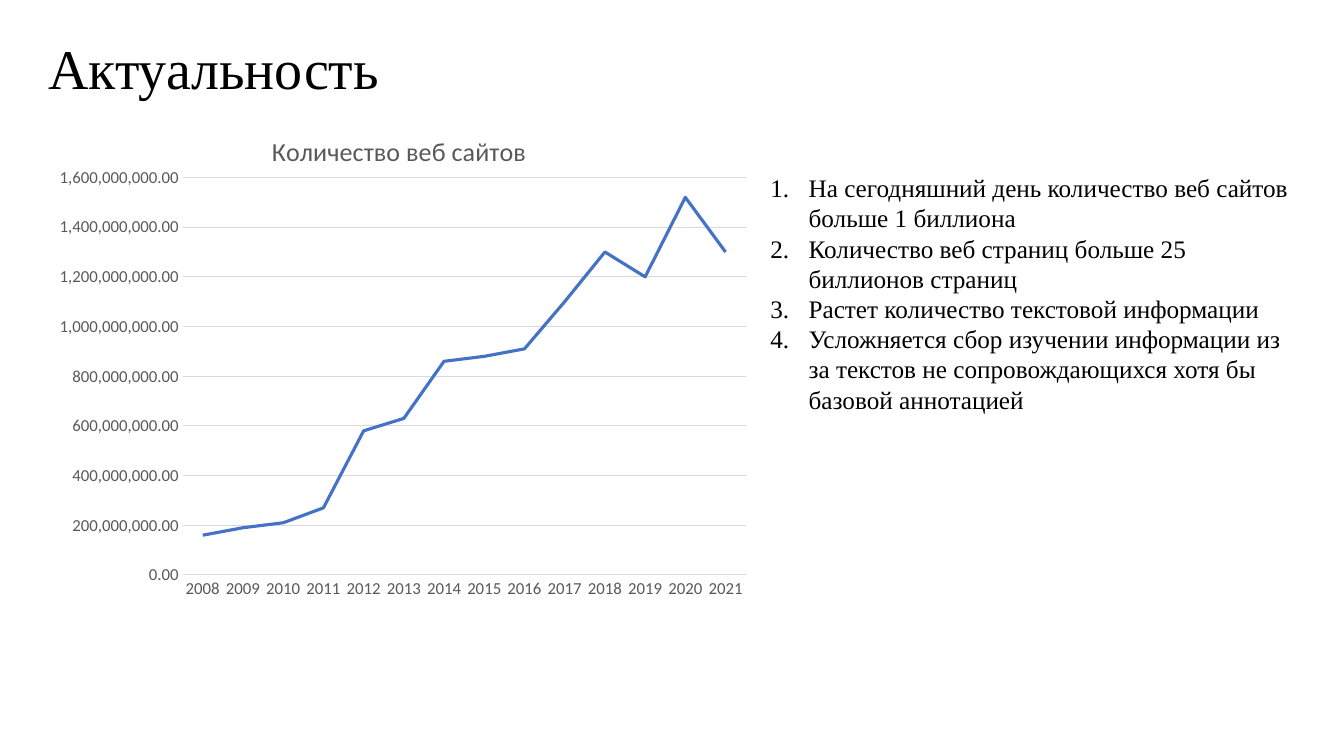
from lxml import etree
from pptx import Presentation
from pptx.chart.data import CategoryChartData
from pptx.dml.color import RGBColor
from pptx.enum.chart import XL_CHART_TYPE, XL_MARKER_STYLE, XL_TICK_MARK
from pptx.enum.text import MSO_ANCHOR, MSO_AUTO_SIZE, PP_ALIGN
from pptx.oxml import parse_xml
from pptx.oxml.ns import nsdecls, qn
from pptx.util import Inches, Pt

LINE_CHART = XL_CHART_TYPE.LINE
NO_MARKER = XL_MARKER_STYLE.NONE
NO_TICK = XL_TICK_MARK.NONE
TOP, MIDDLE = MSO_ANCHOR.TOP, MSO_ANCHOR.MIDDLE
NO_AUTOFIT = MSO_AUTO_SIZE.NONE
LEFT = PP_ALIGN.LEFT

BLACK = RGBColor(0x00, 0x00, 0x00)
GREY = RGBColor(0x59, 0x59, 0x59)
LIGHT_GREY = RGBColor(0xD9, 0xD9, 0xD9)
BLUE = RGBColor(0x44, 0x72, 0xC4)
SERIF, SANS = "Times New Roman", "Calibri"

HEADING = "Актуальность"
CHART_TITLE = "Количество веб сайтов"
FIRST_YEAR = 2008
SITES_IN_MILLIONS = [160, 190, 210, 270, 580, 630, 860, 880, 910,
                     1100, 1300, 1200, 1520, 1300]
REASONS = [
    "На сегодняшний день количество веб сайтов больше 1 биллиона",
    "Количество веб страниц больше 25 биллионов страниц",
    "Растет количество текстовой информации",
    "Усложняется сбор изучении информации из за текстов не "
    "сопровождающихся хотя бы базовой аннотацией",
]


def place(shape, box):
    shape.left, shape.top, shape.width, shape.height = map(Inches, box)


def style_font(font, size, color, name):
    font.size, font.name, font.bold = Pt(size), name, False
    font.color.rgb = color


def style_line(line, color, width):
    line.color.rgb = color
    line.width = Pt(width)


def write(paragraph, text, size, color=BLACK, font=SERIF, spacing=1.0):
    paragraph.alignment = LEFT
    paragraph.line_spacing = spacing
    paragraph.space_before = paragraph.space_after = Pt(0)
    run = paragraph.add_run()
    run.text = text
    style_font(run.font, size, color, font)


def number(paragraph, indent):
    """Turn a paragraph into a numbered item with a hanging indent."""
    properties = paragraph._p.get_or_add_pPr()
    properties.set("marL", str(Inches(indent)))
    properties.set("indent", str(-Inches(indent)))
    bullet = etree.SubElement(properties, qn("a:buAutoNum"))
    bullet.set("type", "arabicPeriod")


def add_heading(slide, box):
    title = slide.shapes.title
    place(title, box)
    frame = title.text_frame
    frame.auto_size = NO_AUTOFIT
    frame.vertical_anchor = MIDDLE
    write(frame.paragraphs[0], HEADING, 40, spacing=0.9)


def add_reasons(slide, box):
    body = slide.placeholders[1]
    place(body, box)
    frame = body.text_frame
    frame.auto_size = NO_AUTOFIT
    frame.vertical_anchor = TOP
    frame.margin_top = Inches(0.35)
    for index, reason in enumerate(REASONS):
        paragraph = frame.add_paragraph() if index else frame.paragraphs[0]
        write(paragraph, reason, 18)
        number(paragraph, 0.38)


def set_plot_layout(chart, x, y, w, h):
    """Fix the inner plot area, in fractions of the chart."""
    plot_area = chart._chartSpace.chart.plotArea
    for layout in plot_area.findall(qn("c:layout")):
        plot_area.remove(layout)
    sizes = "".join(f'<c:{tag} val="{value}"/>'
                    for tag, value in zip("xywh", (x, y, w, h)))
    plot_area.insert(0, parse_xml(
        f'<c:layout {nsdecls("c")}><c:manualLayout>'
        '<c:layoutTarget val="inner"/><c:xMode val="edge"/>'
        f'<c:yMode val="edge"/>{sizes}</c:manualLayout></c:layout>'))


def style_axes(chart):
    years, sites = chart.category_axis, chart.value_axis
    for axis in (years, sites):
        axis.major_tick_mark = axis.minor_tick_mark = NO_TICK
        style_font(axis.tick_labels.font, 12, GREY, SANS)
    years.has_major_gridlines = False
    style_line(years.format.line, LIGHT_GREY, 0.75)
    sites.minimum_scale, sites.maximum_scale = 0, 1_600_000_000
    sites.major_unit = 200_000_000
    sites.tick_labels.number_format = "#,##0.00"
    sites.tick_labels.number_format_is_linked = False
    sites.format.line.fill.background()
    sites.has_major_gridlines = True
    style_line(sites.major_gridlines.format.line, LIGHT_GREY, 0.75)


def add_sites_chart(slide, box):
    data = CategoryChartData()
    data.categories = [str(FIRST_YEAR + i)
                       for i in range(len(SITES_IN_MILLIONS))]
    data.add_series(CHART_TITLE, [n * 1_000_000 for n in SITES_IN_MILLIONS])
    chart = slide.shapes.add_chart(LINE_CHART, *map(Inches, box), data).chart
    style_font(chart.font, 10, BLACK, SANS)
    chart.has_legend = False
    chart.has_title = True
    title = chart.chart_title
    title.include_in_layout = False
    write(title.text_frame.paragraphs[0], CHART_TITLE, 18.6, GREY, SANS)

    plot = chart.plots[0]
    plot.vary_by_categories = False
    series = plot.series[0]
    series.smooth = False
    series.marker.style = NO_MARKER
    style_line(series.format.line, BLUE, 2.25)
    style_axes(chart)
    set_plot_layout(chart, 0.2, 0.13, 0.78, 0.8)


def main():
    presentation = Presentation()
    presentation.slide_width = Inches(13.33)
    presentation.slide_height = Inches(7.5)
    slide = presentation.slides.add_slide(presentation.slide_layouts[1])
    add_sites_chart(slide, (0.38, 1.12, 7.16, 4.93))
    add_heading(slide, (0.38, -0.6, 12.63, 2.61))
    add_reasons(slide, (7.54, 1.36, 5.35, 3.43))
    presentation.save("out.pptx")


if __name__ == "__main__":
    main()
